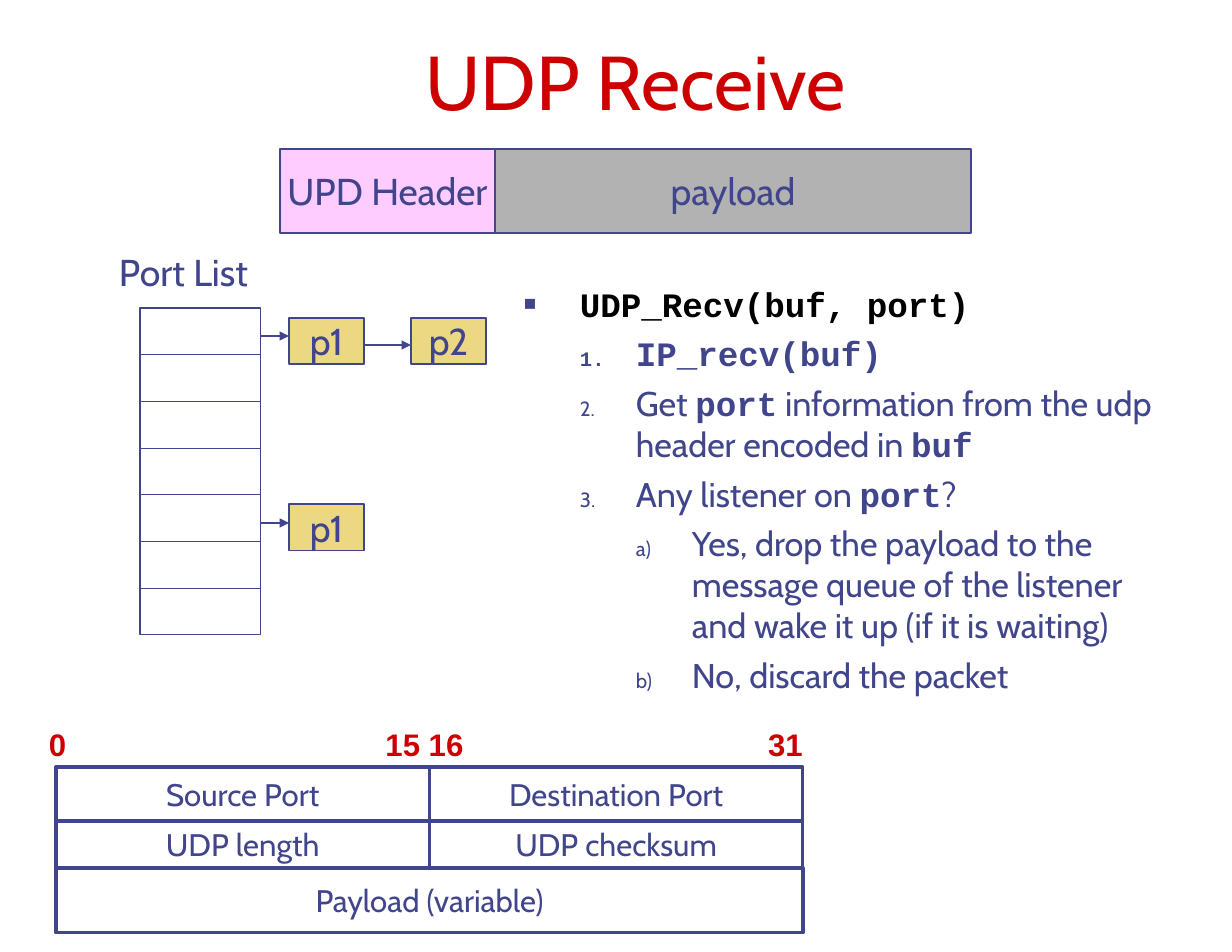
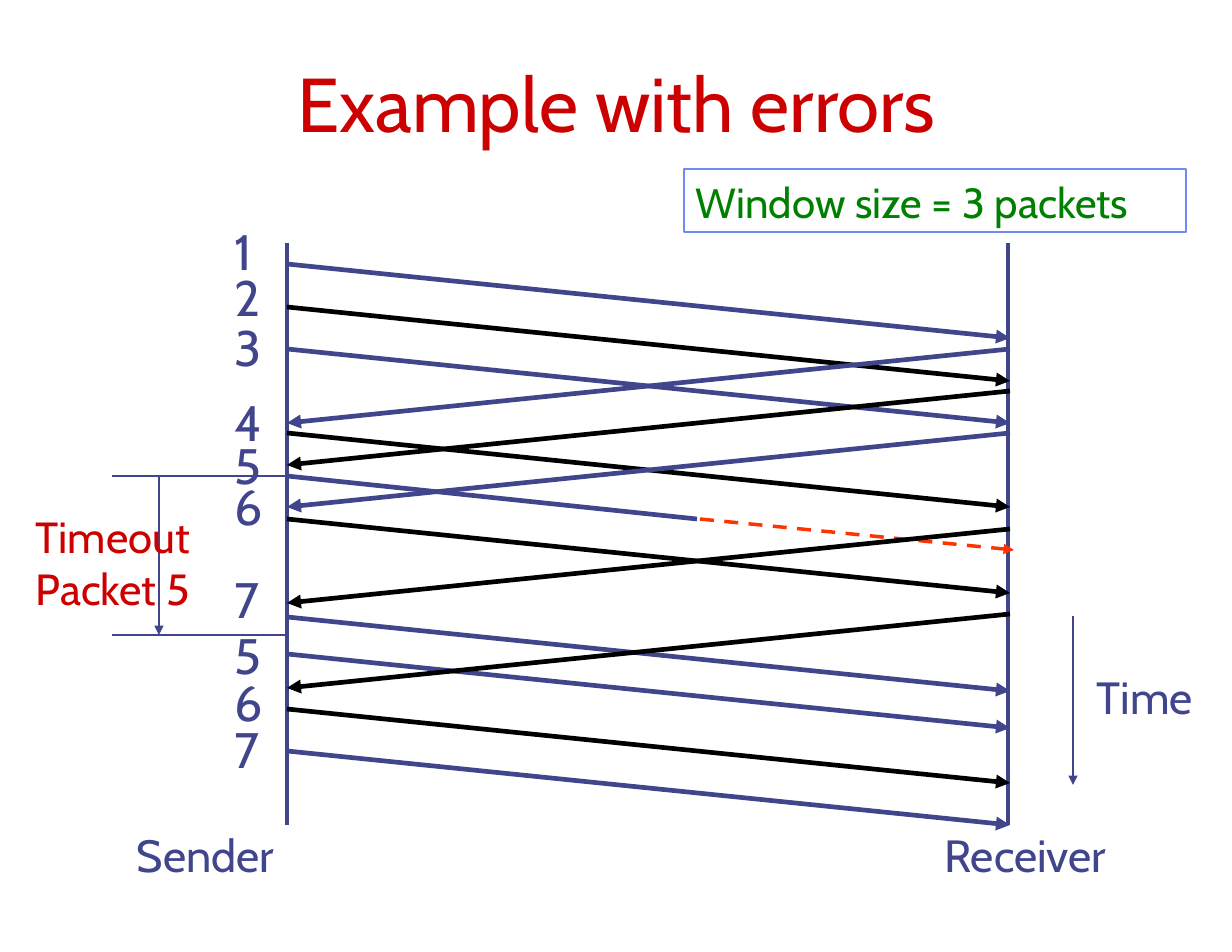
from dataclasses import dataclass

from lxml.etree import SubElement
from pptx import Presentation
from pptx.dml.color import RGBColor
from pptx.enum.dml import MSO_LINE
from pptx.enum.shapes import MSO_CONNECTOR, MSO_SHAPE
from pptx.enum.text import MSO_ANCHOR, PP_ALIGN
from pptx.oxml.ns import qn
from pptx.util import Pt

SCALE = 914400 / 112
SLIDE_SIZE = (1232, 952)


@dataclass(frozen=True)
class Theme:
    ink: str = "40458C"
    red: str = "CC0000"
    green: str = "008000"
    black: str = "000000"
    white: str = "FFFFFF"
    lost: str = "FF3300"
    header: str = "FFCCFF"
    payload: str = "B2B2B2"
    port: str = "ECD882"
    frame: str = "6F89F7"
    font: str = "Cabin"
    code_font: str = "Courier New"
    number_font: str = "Arial"
    title_size: float = 49
    digit_size: float = 32
    label_size: float = 29
    timeout_size: float = 28
    window_size: float = 27
    diagram_size: float = 24
    body_size: float = 22
    field_size: float = 20
    thin: float = 0.75
    time: float = 1
    field: float = 2
    dashed: float = 2.25
    thick: float = 3


THEME = Theme()

TITLES = [("UDP Receive", (112, 34, 1047, 99)), ("Example with errors", (93, 56, 1047, 99))]

DATAGRAM = [
    ("payload", (495, 149, 476, 84), THEME.payload),
    ("UPD Header", (280, 149, 215, 84), THEME.header),
]
PORT_LIST = {"left": 140, "top": 308, "width": 121, "height": 327, "rows": 7}
LISTENERS = [
    ("p1", (289, 318, 75, 46)),
    ("p2", (411, 318, 75, 46)),
    ("p1", (289, 504, 75, 47)),
]
LISTENER_ARROWS = [(261, 336, 289, 336), (364, 345, 411, 345), (261, 523, 289, 523)]

STEPS = [
    (1, "■", [("UDP_Recv(buf, port)", True)], THEME.black),
    (2, "arabicPeriod", [("IP_recv(buf)", True)], THEME.ink),
    (2, "arabicPeriod", [
        ("Get ", False), ("port", True),
        (" information from the udp header encoded in ", False), ("buf", True),
    ], THEME.ink),
    (2, "arabicPeriod", [("Any listener on ", False), ("port", True), ("?", False)], THEME.ink),
    (3, "alphaLcParenR", [(
        "Yes, drop the payload to the message queue of the listener "
        "and wake it up (if it is waiting)", False)], THEME.ink),
    (3, "alphaLcParenR", [("No, discard the packet", False)], THEME.ink),
]

FIELD_LEFT, FIELD_TOP, FIELD_WIDTH = 56, 767, 747
FIELD_ROWS = [
    (54, ["Source Port", "Destination Port"]),
    (47, ["UDP length", "UDP checksum"]),
    (65, ["Payload (variable)"]),
]
BIT_NUMBERS = [("0", (37, 719, 38, 49)), ("15 16", (373, 719, 103, 49)), ("31", (756, 719, 59, 49))]

SENDER_X, RECEIVER_X, TRAVEL = 287, 1010, 74
TIMELINE_XS = [287, 1008]
TIMELINE_TOP, TIMELINE_BOTTOM = 243, 825
PACKETS = [
    ("1", 215, 264, THEME.ink),
    ("2", 261, 307, THEME.black),
    ("3", 311, 349, THEME.ink),
    ("4", 386, 433, THEME.black),
    ("5", 429, None, None),
    ("6", 470, 519, THEME.black),
    ("7", 563, 617, THEME.ink),
    ("5", 619, 654, THEME.ink),
    ("6", 666, 709, THEME.black),
    ("7", 713, 751, THEME.ink),
]
ACKNOWLEDGEMENTS = [
    (349, THEME.ink), (391, THEME.black), (433, THEME.ink), (529, THEME.black), (614, THEME.black),
]
LOST_SENT = (287, 476, 697, 519)
LOST_REST = (700, 519, 1014, 550)
TIMEOUT_YS = [476, 635]
TIMEOUT_SPAN = (289, 112)
TIMEOUT_X = 159
TIME_ARROW = (1073, 616, 1073, 785)
LABELS = [
    ("Time", (1080, 663, 130, 67)),
    ("Sender", (118, 821, 175, 67)),
    ("Receiver", (923, 821, 205, 67)),
]


def emu(pixels):
    return round(pixels * SCALE)


def set_values(target, values):
    for name, value in values.items():
        setattr(target, name, value)


def color(value):
    return RGBColor.from_string(value)


def style_run(run, size, ink, font=THEME.font, bold=False):
    set_values(run.font, {"size": Pt(size), "name": font, "bold": bold})
    run.font.color.rgb = color(ink)


def set_frame(shape, anchor, wrap, inset):
    horizontal, vertical = map(emu, inset)
    set_values(shape.text_frame, {
        "word_wrap": wrap, "vertical_anchor": anchor,
        "margin_left": horizontal, "margin_right": horizontal,
        "margin_top": vertical, "margin_bottom": vertical,
    })


def write(shape, text, size, ink=THEME.ink, font=THEME.font, bold=False,
          align=PP_ALIGN.CENTER, anchor=MSO_ANCHOR.MIDDLE, wrap=False, inset=(11, 6)):
    set_frame(shape, anchor, wrap, inset)
    frame = shape.text_frame
    for index, line in enumerate(text.split("\n")):
        paragraph = frame.add_paragraph() if index else frame.paragraphs[0]
        paragraph.alignment = align
        run = paragraph.add_run()
        run.text = line
        style_run(run, size, ink, font, bold)


def add_text(slide, text, box, size, **options):
    shape = slide.shapes.add_textbox(*map(emu, box))
    write(shape, text, size, **options)


def add_box(slide, box, fill=None, line=THEME.ink, weight=THEME.thin):
    shape = slide.shapes.add_shape(MSO_SHAPE.RECTANGLE, *map(emu, box))
    shape.shadow.inherit = False
    if fill:
        shape.fill.solid()
        shape.fill.fore_color.rgb = color(fill)
    else:
        shape.fill.background()
    shape.line.color.rgb = color(line)
    shape.line.width = Pt(weight)
    return shape


def add_line(slide, ends, ink=THEME.ink, weight=THEME.thin, arrow=True, dash=None):
    connector = slide.shapes.add_connector(MSO_CONNECTOR.STRAIGHT, *map(emu, ends))
    connector.line.color.rgb = color(ink)
    set_values(connector.line, {"width": Pt(weight), "dash_style": dash})
    if arrow:
        SubElement(connector.line._get_or_add_ln(), qn("a:tailEnd"), type="triangle")
    SubElement(connector._element.spPr, qn("a:effectLst"))


def add_bullet(paragraph, level, bullet):
    properties = paragraph._p.get_or_add_pPr()
    properties.set("marL", str(emu(112 * (level + 1) / 2)))
    properties.set("indent", str(emu(-56)))
    bullet_color = SubElement(properties, qn("a:buClr"))
    SubElement(bullet_color, qn("a:srgbClr"), val=THEME.ink)
    SubElement(properties, qn("a:buSzPct"), val="60000")
    if bullet == "■":
        SubElement(properties, qn("a:buFont"), typeface=THEME.number_font)
        SubElement(properties, qn("a:buChar"), char=bullet)
    else:
        SubElement(properties, qn("a:buAutoNum"), type=bullet)


def add_steps(slide):
    shape = slide.shapes.add_textbox(*map(emu, (457, 277, 737, 494)))
    set_frame(shape, MSO_ANCHOR.TOP, True, (11, 6))
    frame = shape.text_frame
    for index, (level, bullet, parts, ink) in enumerate(STEPS):
        paragraph = frame.add_paragraph() if index else frame.paragraphs[0]
        paragraph.level = level
        add_bullet(paragraph, level, bullet)
        if index:
            paragraph.space_before = Pt(5.5)
        for text, is_code in parts:
            run = paragraph.add_run()
            run.text = text
            font = THEME.code_font if is_code else THEME.font
            style_run(run, THEME.body_size, ink, font, is_code)


def add_field_rows(slide):
    top = FIELD_TOP
    for height, names in FIELD_ROWS:
        width = FIELD_WIDTH / len(names)
        for column, name in enumerate(names):
            box = (FIELD_LEFT + column * width, top, width, height)
            write(add_box(slide, box, weight=THEME.field), name, THEME.field_size)
        top += height


def add_titled_slide(presentation, title, box):
    slide = presentation.slides.add_slide(presentation.slide_layouts[6])
    add_text(slide, title, box, THEME.title_size, ink=THEME.red,
             anchor=MSO_ANCHOR.BOTTOM, wrap=True, inset=(12, 7))
    return slide


def build_receive(slide):
    for name, box, fill in DATAGRAM:
        write(add_box(slide, box, fill), name, THEME.diagram_size)
    row_height = PORT_LIST["height"] / PORT_LIST["rows"]
    for row in range(PORT_LIST["rows"]):
        top = PORT_LIST["top"] + row * row_height
        add_box(slide, (PORT_LIST["left"], top, PORT_LIST["width"], row_height))
    add_text(slide, "Port List", (108, 243, 167, 56), THEME.diagram_size,
             align=PP_ALIGN.LEFT, anchor=MSO_ANCHOR.TOP)
    for name, box in LISTENERS:
        write(add_box(slide, box, THEME.port), name, THEME.diagram_size)
    for ends in LISTENER_ARROWS:
        add_line(slide, ends)
    add_steps(slide)
    add_field_rows(slide)
    for number, box in BIT_NUMBERS:
        add_text(slide, number, box, THEME.field_size, ink=THEME.red, font=THEME.number_font,
                 bold=True, anchor=MSO_ANCHOR.TOP, inset=(12, 6))


def build_errors(slide):
    add_line(slide, TIME_ARROW, weight=THEME.time)
    for name, box in LABELS:
        add_text(slide, name, box, THEME.label_size, inset=(12, 7))
    window = add_box(slide, (684, 169, 502, 63), THEME.white, THEME.frame)
    write(window, "Window size = 3 packets", THEME.window_size, ink=THEME.green,
          align=PP_ALIGN.LEFT, anchor=MSO_ANCHOR.TOP, wrap=True, inset=(12, 7))
    for x in TIMELINE_XS:
        add_line(slide, (x, TIMELINE_TOP, x, TIMELINE_BOTTOM), weight=THEME.thick, arrow=False)
    add_line(slide, LOST_SENT, weight=THEME.thick, arrow=False)
    add_line(slide, LOST_REST, THEME.lost, THEME.dashed, dash=MSO_LINE.DASH)
    for name, label_top, sent, ink in PACKETS:
        if sent:
            add_line(slide, (SENDER_X, sent, RECEIVER_X, sent + TRAVEL), ink, THEME.thick)
        add_text(slide, name, (224, label_top, 50, 72), THEME.digit_size,
                 align=PP_ALIGN.LEFT, anchor=MSO_ANCHOR.TOP)
    for sent, ink in ACKNOWLEDGEMENTS:
        add_line(slide, (RECEIVER_X, sent, SENDER_X, sent + TRAVEL), ink, THEME.thick)
    start, end = TIMEOUT_SPAN
    for y in TIMEOUT_YS:
        add_line(slide, (start, y, end, y), arrow=False)
    add_line(slide, (TIMEOUT_X, TIMEOUT_YS[0], TIMEOUT_X, TIMEOUT_YS[1]))
    add_text(slide, "Timeout\nPacket 5", (25, 504, 194, 116), THEME.timeout_size,
             ink=THEME.red, align=PP_ALIGN.LEFT, anchor=MSO_ANCHOR.TOP, wrap=True)


def main():
    presentation = Presentation()
    width, height = map(emu, SLIDE_SIZE)
    set_values(presentation, {"slide_width": width, "slide_height": height})
    for (title, box), build in zip(TITLES, [build_receive, build_errors]):
        build(add_titled_slide(presentation, title, box))
    presentation.save("out.pptx")


if __name__ == "__main__":
    main()
